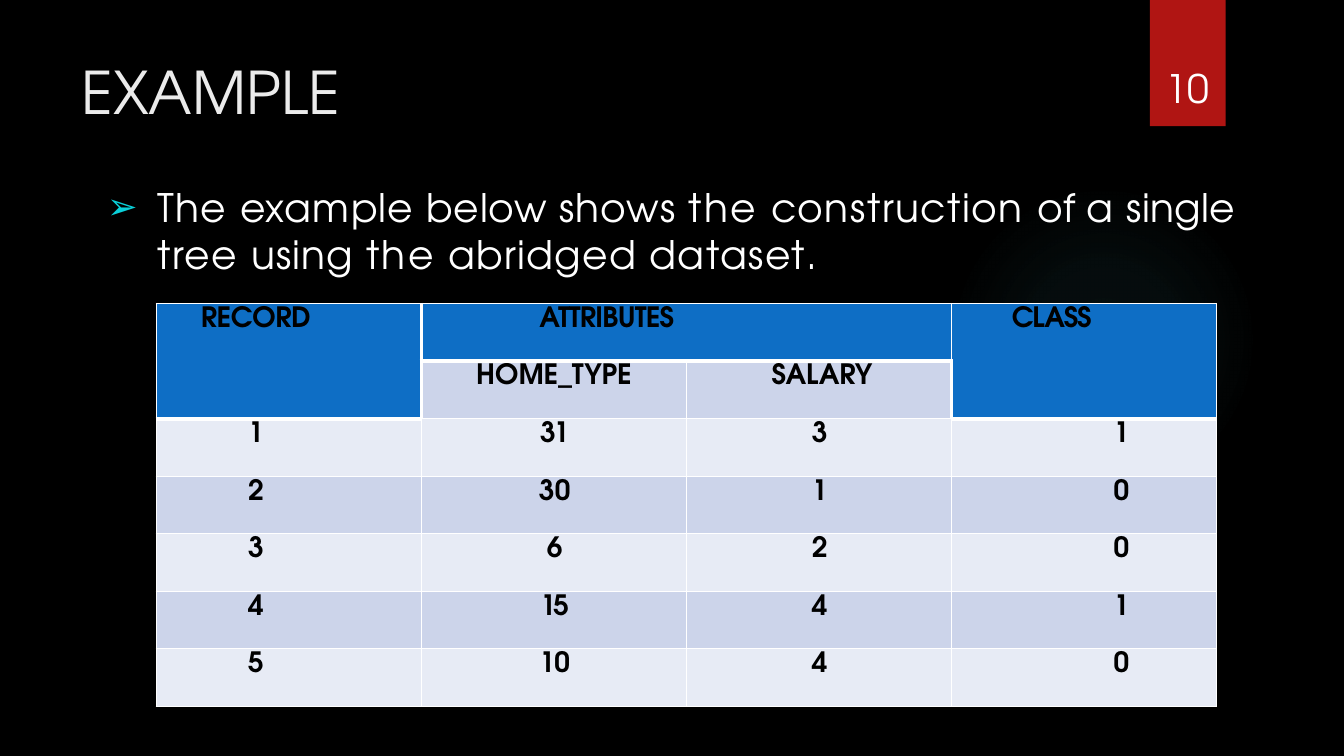
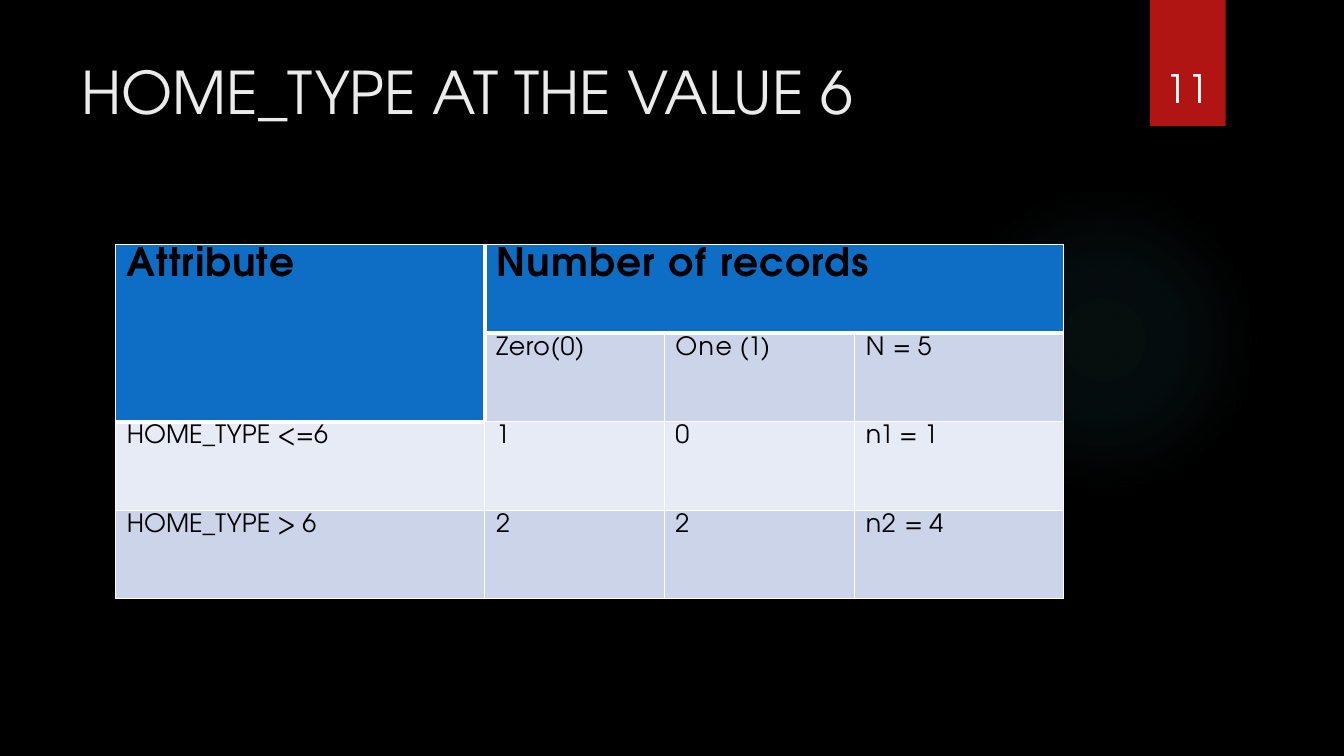
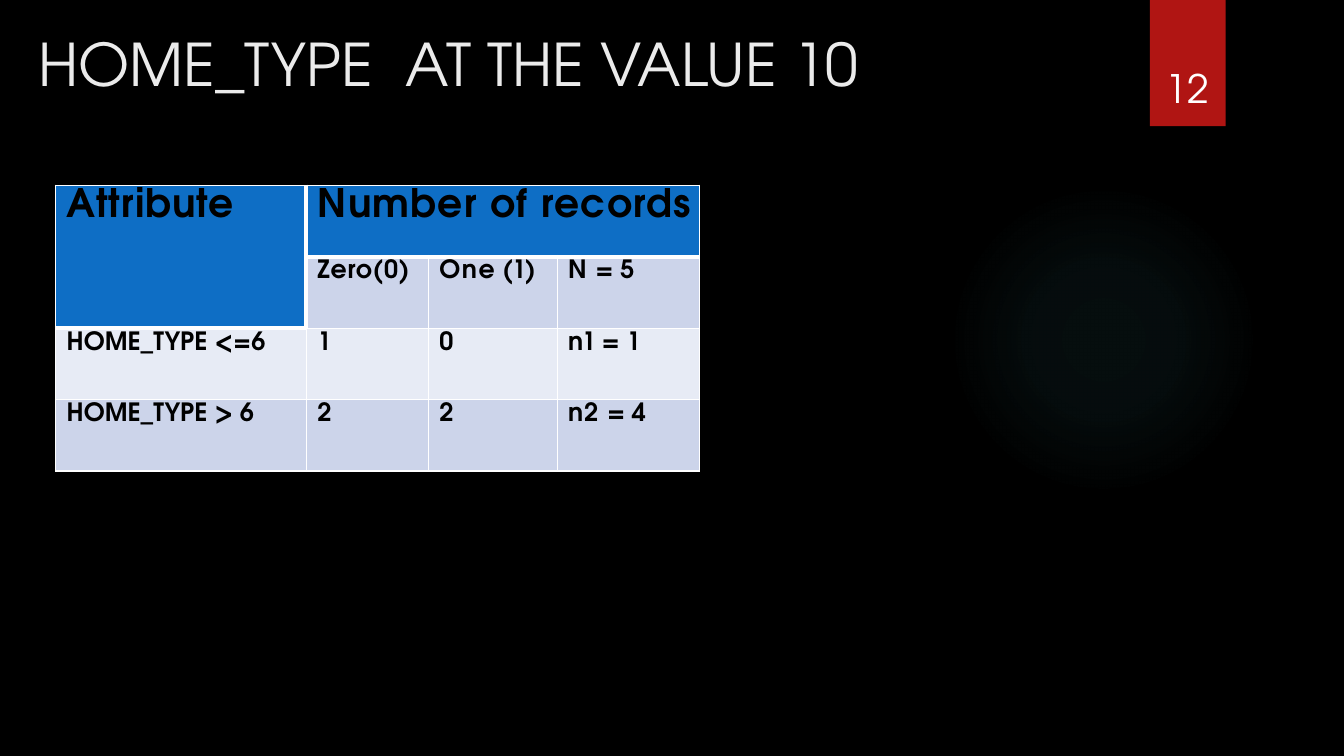
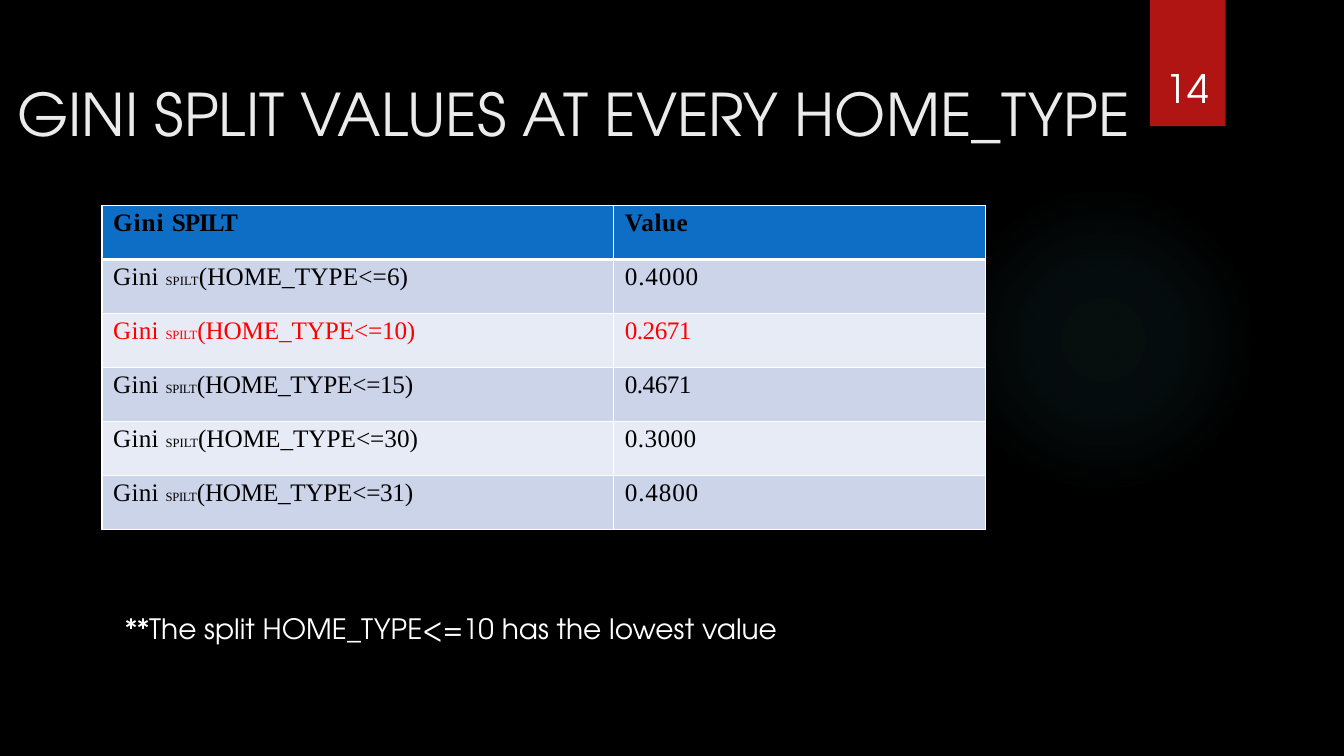
import dataclasses
import typing

import lxml.etree
import pptx
import pptx.dml.color
import pptx.enum.shapes
import pptx.enum.text
import pptx.oxml.ns
import pptx.util

Cm = pptx.util.Cm
Pt = pptx.util.Pt
Align = pptx.enum.text.PP_ALIGN
Anchor = pptx.enum.text.MSO_ANCHOR
Preset = pptx.enum.shapes.MSO_SHAPE

HUES = {
    "back": "000000",
    "glow": "50B9C1",
    "flag": "B01513",
    "title": "EBEBEB",
    "white": "FFFFFF",
    "ink": "000000",
    "alert": "FF0000",
    "bullet": "0AD0D9",
    "head": "0E6EC5",
    "odd": "CCD4EA",
    "even": "E7EBF5",
}
SANS = "TeX Gyre Adventor"
SERIF = "Times New Roman"


class Box(typing.NamedTuple):
    left: float
    top: float
    width: float
    height: float


class Bit(typing.NamedTuple):
    text: str
    gap: float = 0
    size: float | None = None


@dataclasses.dataclass
class Cell:
    bits: tuple[Bit, ...] = ()
    left: float = 0.28
    right: float = 0
    align: Align = Align.LEFT
    size: float = 18
    bold: bool = False
    hue: str = "ink"


@dataclasses.dataclass
class Grid:
    left: float
    top: float
    cols: list[float]
    row: float
    cells: list[list[Cell]]
    spans: list[tuple[int, int, int, int]]
    font: str = SANS


TITLE = Box(1.8, 1.27, 26.14, 3.89)
PAGE = Box(28.75, 0.81, 2.34, 2.13)


def lengths(box: Box) -> list[int]:
    return [Cm(side) for side in box]


def color(name: str) -> pptx.dml.color.RGBColor:
    return pptx.dml.color.RGBColor.from_string(HUES[name])


def node(parent, tag: str, **attrs):
    child = lxml.etree.SubElement(parent, pptx.oxml.ns.qn(tag))
    for key, value in attrs.items():
        child.set(key, str(value))
    return child


def write(frame, text: str | tuple[Bit, ...], *, size: float, hue: str,
          font: str = SANS, bold: bool = False, align: Align = Align.LEFT,
          before: float = 0):
    para = frame.paragraphs[0]
    para.alignment = align
    para.space_before = Pt(before)
    for bit in (Bit(text),) if isinstance(text, str) else text:
        run = para.add_run()
        run.text = bit.text
        run.font.size = Pt(bit.size or size)
        run.font.name = font
        run.font.bold = bold
        run.font.color.rgb = color(hue)
        if bit.gap:
            run._r.get_or_add_rPr().set("spc", str(round(bit.gap * 100)))
    return para


def place(shape, box: Box):
    shape.left, shape.top, shape.width, shape.height = lengths(box)
    frame = shape.text_frame
    frame.word_wrap = True
    frame.auto_size = pptx.enum.text.MSO_AUTO_SIZE.NONE
    frame.vertical_anchor = Anchor.TOP
    return frame


def open_slide(title: str, page: int, box: Box = TITLE, body: bool = False):
    slide = deck.slides.add_slide(deck.slide_layouts[1 if body else 5])
    write(place(slide.shapes.title, box), title, size=42, hue="title")
    frame = slide.shapes.add_textbox(*lengths(PAGE)).text_frame
    frame.word_wrap = True
    frame.vertical_anchor = Anchor.BOTTOM
    write(frame, str(page), size=28, hue="white", align=Align.CENTER)
    return slide


def mark(para, indent: float = 0, sign: str = "") -> None:
    props = para._p.get_or_add_pPr()
    props.set("marL", str(Cm(indent)))
    props.set("indent", str(-Cm(indent)))
    if not sign:
        node(props, "a:buNone")
        return
    node(node(props, "a:buClr"), "a:srgbClr", val=HUES["bullet"])
    node(props, "a:buSzPct", val=94000)
    node(props, "a:buChar", char=sign)


def border(cell, wide: dict[str, bool]) -> None:
    props = cell._tc.get_or_add_tcPr()
    for side, thick in wide.items():
        line = node(props, f"a:ln{side}", w=Pt(3 if thick else 1))
        node(node(line, "a:solidFill"), "a:srgbClr", val=HUES["white"])


def draw_grid(slide, grid: Grid) -> None:
    high, across = len(grid.cells), len(grid.cols)
    area = Box(grid.left, grid.top, sum(grid.cols), grid.row * high)
    table = slide.shapes.add_table(high, across, *lengths(area)).table
    for col, width in zip(table.columns, grid.cols):
        col.width = Cm(width)
    for row in table.rows:
        row.height = Cm(grid.row)
    for top, left, bottom, right in grid.spans:
        table.cell(top, left).merge(table.cell(bottom, right))

    def rank(row: int, col: int) -> int:
        if row and not table.cell(row, col).is_spanned:
            return 0
        return 2 if grid.spans and col == 0 else 1

    def differs(row: int, col: int, down: int, over: int) -> bool:
        near, beside = row + down, col + over
        inside = 0 <= near < high and 0 <= beside < across
        return inside and rank(row, col) != rank(near, beside)

    steps = {"L": (0, -1), "R": (0, 1), "T": (-1, 0), "B": (1, 0)}
    for r, line in enumerate(grid.cells):
        for c, item in enumerate(line):
            cell = table.cell(r, c)
            border(cell, {s: differs(r, c, *step) for s, step in steps.items()})
            band = "head" if rank(r, c) else "odd" if r % 2 else "even"
            cell.fill.solid()
            cell.fill.fore_color.rgb = color(band)
            cell.margin_left, cell.margin_right = Cm(item.left), Cm(item.right)
            cell.margin_top, cell.margin_bottom = Cm(0.08), 0
            if item.bits:
                write(cell.text_frame, item.bits, size=item.size, hue=item.hue,
                      font=grid.font, bold=item.bold, align=item.align, before=2.5)


def dress(master, shapes) -> None:
    master.background.fill.solid()
    master.background.fill.fore_color.rgb = color("back")
    glow = shapes.add_shape(Preset.OVAL, *lengths(Box(23.9, 4.65, 7.82, 7.82)))
    flag = shapes.add_shape(Preset.RECTANGLE, *lengths(Box(28.98, 0, 1.91, 3.18)))
    for number, shape in enumerate((glow, flag), 20):
        shape.shadow.inherit = False
        shape.line.fill.background()
        shape.element.nvSpPr.cNvPr.set("id", str(number))
        master.shapes.element.append(shape.element)
    flag.fill.solid()
    flag.fill.fore_color.rgb = color("flag")
    glow.fill.background()
    props = glow.element.spPr
    fade = lxml.etree.Element(pptx.oxml.ns.qn("a:gradFill"))
    stops = node(fade, "a:gsLst")
    for spot, alpha in ((0, 7), (36, 6), (69, 0)):
        stop = node(stops, "a:gs", pos=spot * 1000)
        tint = node(stop, "a:srgbClr", val=HUES["glow"])
        node(tint, "a:alpha", val=alpha * 1000)
    ring = node(fade, "a:path", path="circle")
    node(ring, "a:fillToRect", l=50000, t=50000, r=50000, b=50000)
    props.replace(props.find(pptx.oxml.ns.qn("a:noFill")), fade)


def sample_grid() -> Grid:
    def label(text: str, gap: float, left: float = 0,
              align: Align = Align.LEFT, right: float = 0) -> Cell:
        return Cell((Bit(text, gap),), left, right, align, 20, True)

    data = [("1", "31", -1.6, "3", "1"), ("2", "30", 0.2, "1", "0"),
            ("3", "6", 0, "2", "0"), ("4", "15", -1.8, "4", "1"),
            ("5", "10", -0.6, "4", "0")]
    cells = [
        [label("RECORD", -0.3, 1.12), label("ATTRIBUTES", -0.6, 2.97),
         Cell(), label("CLASS", -0.9, 1.52)],
        [Cell(), label("HOME_TYPE", -0.1, 0, Align.CENTER),
         label("SALARY", -0.2, 0.15, Align.CENTER), Cell()],
    ]
    for record, home, gap, pay, group in data:
        cells.append([label(record, 0, 2.31), label(home, gap, 0.04, Align.CENTER),
                      label(pay, 0, 0.04, Align.CENTER),
                      label(group, 0, 0, Align.RIGHT, 2.2)])
    spans = [(0, 0, 1, 0), (0, 1, 0, 2), (0, 3, 1, 3)]
    return Grid(3.94, 7.65, [6.68] * 4, 1.45, cells, spans)


def count_grid(left: float, top: float, cols: list[float], row: float,
               bold: bool) -> Grid:
    equal = Bit("= ", -0.2)
    name = Bit("HOME_TYPE ")
    body = [
        [(), (Bit("Zero(0)", 0.5),), (Bit("One", 1.1), Bit(" (1)", -0.7)),
         (Bit("N ", 0.5), equal, Bit("5", -0.5))],
        [(name, Bit("<=6", 0.1)), (Bit("1"),), (Bit("0"),),
         (Bit("n1 ", -1), equal, Bit("1", -3.4))],
        [(name, Bit("> ", -0.2), Bit("6", 0.7)), (Bit("2"),), (Bit("2"),),
         (Bit("n2 ", 0.6), equal, Bit("4", 0.6))],
    ]
    count = (Bit("Number ", 0.9), Bit("of ", 1.1), Bit("records", 0.8))
    head = [Cell(bits, size=28, bold=True)
            for bits in ((Bit("Attribute", 0.7),), count, (), ())]
    cells = [head] + [[Cell(bits, bold=bold) for bits in line] for line in body]
    return Grid(left, top, cols, row, cells, [(0, 0, 1, 0), (0, 1, 0, 3)])


def gini_grid() -> Grid:
    data = [(6, 0.1, "0.4000", 0.6), (10, -0.1, "0.2671", -0.4),
            (15, -0.2, "0.4671", -0.4), (30, 0, "0.3000", 0.3),
            (31, -0.2, "0.4800", 0.6)]
    cells = [[Cell((Bit("Gini ", 0.7), Bit("SPILT", -0.8)), bold=True),
              Cell((Bit("Value", 0.4),), bold=True)]]
    for limit, gap, value, space in data:
        hue = "alert" if limit == 10 else "ink"
        name = (Bit("Gini ", 0.2), Bit("SPILT", gap, 9),
                Bit(f"(HOME_TYPE<={limit})", gap))
        cells.append([Cell(name, hue=hue), Cell((Bit(value, space),), hue=hue)])
    return Grid(2.57, 5.18, [12.9, 9.37], 1.36, cells, [], SERIF)


def sample_slide(slide) -> None:
    words = (Bit("The ", 1), Bit("example ", 0.8), Bit("below ", 0.6),
             Bit("shows ", 0.8), Bit("the ", 1.6), Bit("construction ", 1.1),
             Bit("of ", 0.2), Bit("a ", 0.9), Bit("single ", 0.1),
             Bit("tree ", 1.1), Bit("using ", 0.9), Bit("the ", 1.6),
             Bit("abridged ", 0.9), Bit("dataset", 1.2), Bit(".", 0.1))
    frame = place(slide.placeholders[1], Box(2.44, 4.5, 29.16, 11.66))
    mark(write(frame, words, size=28, hue="white", before=1.1), 1.28, "➢")
    draw_grid(slide, sample_grid())


def gini_slide(slide) -> None:
    frame = place(slide.placeholders[1], Box(2.9, 15.27, 25.02, 2.08))
    mark(write(frame, "**The split HOME_TYPE<=10 has the lowest value",
               size=20, hue="white", before=10))
    draw_grid(slide, gini_grid())


deck = pptx.Presentation()
deck.slide_width, deck.slide_height = Cm(33.87), Cm(19.05)

first = open_slide("EXAMPLE", 10, body=True)
dress(deck.slide_master, first.shapes)
sample_slide(first)
draw_grid(open_slide("HOME_TYPE AT THE VALUE 6", 11),
          count_grid(2.92, 6.17, [9.3, 4.52, 4.8, 5.26], 2.23, False))
draw_grid(open_slide("HOME_TYPE  AT THE VALUE 10", 12, Box(0.71, 0.56, 32.44, 1.96)),
          count_grid(1.4, 4.67, [6.32, 3.07, 3.25, 3.58], 1.8, True))
gini_slide(open_slide("GINI SPLIT VALUES AT EVERY HOME_TYPE", 14,
                      Box(0.18, 1.83, 31.37, 3.02), True))
deck.save("out.pptx")
